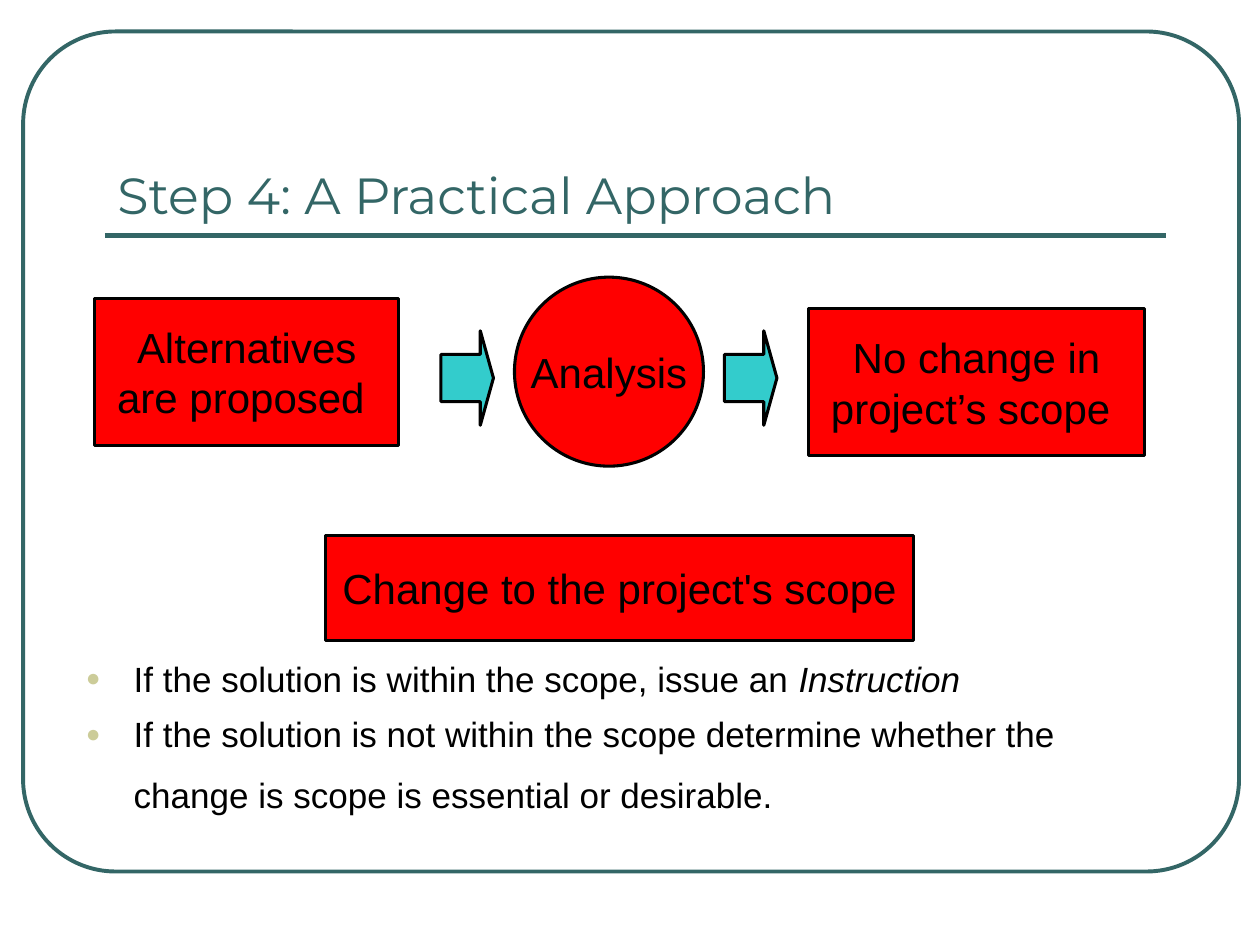
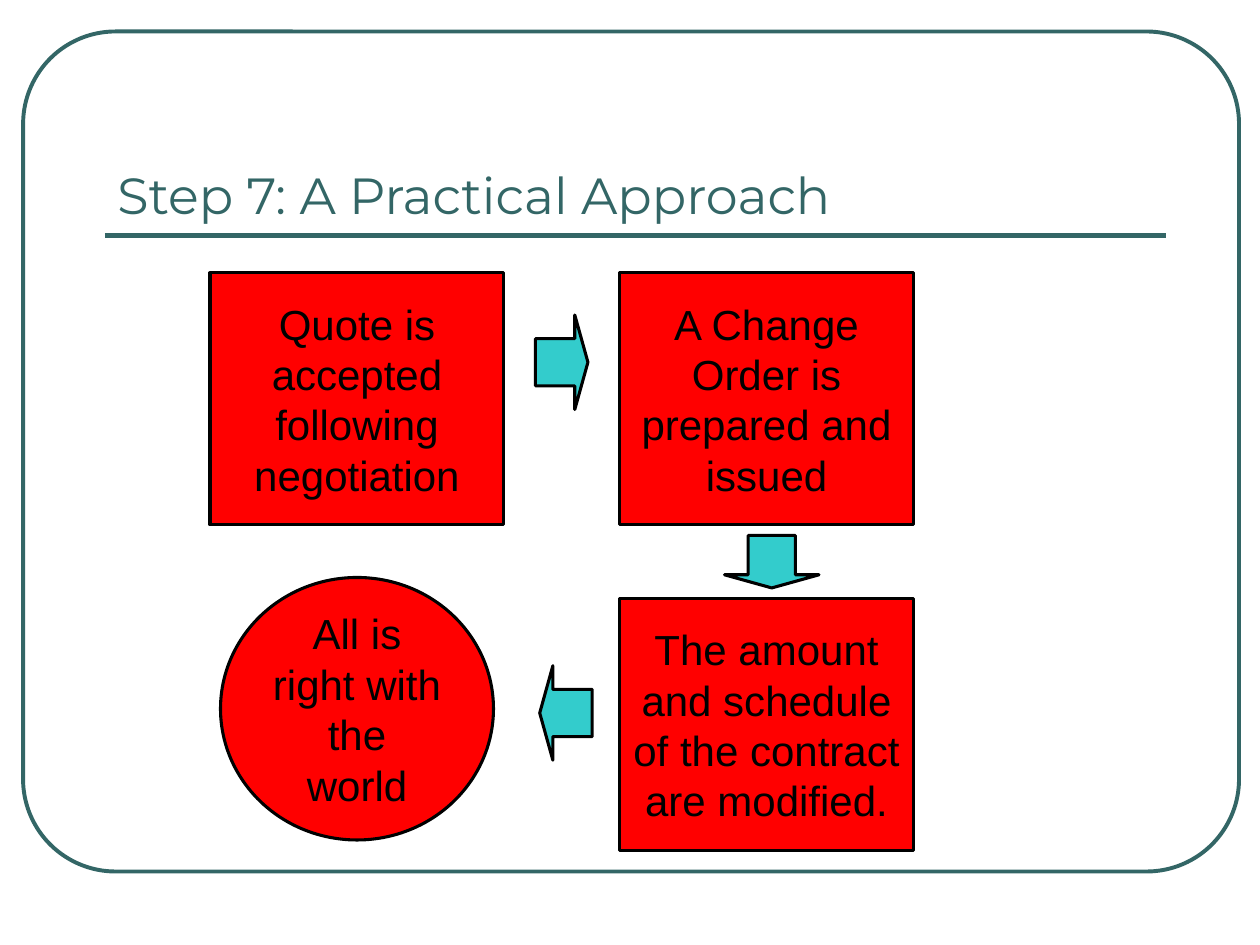
from dataclasses import dataclass
from typing import Any

from lxml import etree
from pptx import Presentation
from pptx import util as u
from pptx.dml.color import RGBColor
from pptx.enum import shapes, text
from pptx.oxml.ns import qn

WIDTH, HEIGHT = u.Inches(10), u.Inches(7.5)
COLUMNS, ROWS = 120, 90
RECT = shapes.MSO_SHAPE.RECTANGLE
CIRCLE = shapes.MSO_SHAPE.OVAL


@dataclass(frozen=True)
class Theme:
    frame: str = "336666"
    step: str = "FF0000"
    arrow: str = "33CCCC"
    ink: str = "000000"
    bullet: str = "CCCC99"
    title_font: str = "Montserrat"
    body_font: str = "Arial"
    title_size: float = 29
    step_size: float = 24
    body_size: float = 20
    spacer_size: float = 31
    bullet_percent: int = 70
    frame_line: float = 2.25
    rule_line: float = 3
    outline: float = 1.75


THEME = Theme()


@dataclass(frozen=True)
class Area:
    """A place on the slide's grid of columns and rows."""
    column: float
    row: float
    columns: float
    rows: float

    def lengths(self) -> tuple[int, int, int, int]:
        return (across(self.column), down(self.row),
                across(self.columns), down(self.rows))


@dataclass(frozen=True)
class Step:
    wording: str
    area: Area
    outline: Any = RECT
    wrap: bool = True


@dataclass(frozen=True)
class Arrow:
    column: float
    row: float
    turn: int = 0


@dataclass(frozen=True)
class Phrase:
    wording: str
    italic: bool = False
    size: float = THEME.body_size


@dataclass(frozen=True)
class Page:
    title: str
    steps: tuple[Step, ...]
    arrows: tuple[Arrow, ...]
    advice: tuple[tuple[Phrase, ...], ...] = ()


FRAME = Area(2.2, 3, 115.8, 80)
TITLE = Area(10, 7, 101, 15)
RULE_ROW = 22.4
ADVICE = Area(7, 62, 103, 18.6)
ARROW_COLUMNS, ARROW_ROWS = 5, 9
LEFT, RIGHT, UPPER, LOWER = 20, 59, 26, 57


def stage(column: float, row: float) -> Area:
    return Area(column, row, 28, 24)


PAGES = (
    Page(
        "Step 4: A Practical Approach",
        (
            Step("Analysis", Area(49, 26.4, 18, 18), CIRCLE, wrap=False),
            Step("Alternatives are proposed ", Area(9, 28.4, 29, 14)),
            Step("No change in project’s scope ", Area(77, 29.4, 32, 14)),
            Step("Change to the project's scope", Area(31, 51, 56, 10)),
        ),
        (Arrow(42, 31.5), Arrow(69, 31.5)),
        (
            (Phrase("If the solution is within the scope, issue an "),
             Phrase("Instruction", italic=True)),
            (Phrase("If the solution is not within the scope determine whether "
                    "the change is scope is essential or desirable."),
             Phrase(" ", size=THEME.spacer_size)),
        ),
    ),
    Page(
        "Step 7: A Practical Approach",
        (
            Step("Quote is accepted following negotiation", stage(LEFT, UPPER)),
            Step("A Change Order is prepared and issued", stage(RIGHT, UPPER)),
            Step("The amount and schedule of the contract are modified.",
                 stage(RIGHT, LOWER)),
            Step("All is right with the world", Area(21, 55, 26, 25), CIRCLE),
        ),
        (Arrow(51, 30), Arrow(71, 49, 90), Arrow(51.4, 63.4, 180)),
    ),
)


def across(columns: float) -> int:
    return round(WIDTH * columns / COLUMNS)


def down(rows: float) -> int:
    return round(HEIGHT * rows / ROWS)


def rgb(code: str) -> RGBColor:
    return RGBColor.from_string(code)


def add_run(paragraph: Any, wording: str, size: float,
            font: str = THEME.body_font, color: str = THEME.ink,
            italic: bool = False) -> None:
    run = paragraph.add_run()
    run.text = wording
    run.font.size = u.Pt(size)
    run.font.name = font
    run.font.color.rgb = rgb(color)
    run.font.italic = italic


def add_bullet(paragraph: Any) -> None:
    properties = paragraph._p.get_or_add_pPr()
    properties.set("marL", str(u.Inches(0.38)))
    properties.set("indent", str(-u.Inches(0.38)))
    color = etree.SubElement(properties, qn("a:buClr"))
    etree.SubElement(color, qn("a:srgbClr"), val=THEME.bullet)
    etree.SubElement(properties, qn("a:buSzPct"),
                     val=str(THEME.bullet_percent * 1000))
    etree.SubElement(properties, qn("a:buFont"), typeface=THEME.body_font)
    etree.SubElement(properties, qn("a:buChar"), char="●")


def draw_outline(slide: Any, kind: Any, area: Area, fill: str | None,
                 line: str = THEME.ink, width: float = THEME.outline) -> Any:
    shape = slide.shapes.add_shape(kind, *area.lengths())
    shape.shadow.inherit = False
    if fill:
        shape.fill.solid()
        shape.fill.fore_color.rgb = rgb(fill)
    else:
        shape.fill.background()
    shape.line.color.rgb = rgb(line)
    shape.line.width = u.Pt(width)
    return shape


def draw_frame(slide: Any) -> None:
    """Draw the rounded border and the rule under the title."""
    border = draw_outline(slide, shapes.MSO_SHAPE.ROUNDED_RECTANGLE, FRAME,
                          None, THEME.frame, THEME.frame_line)
    border.adjustments[0] = 0.11
    rule = slide.shapes.add_connector(
        shapes.MSO_CONNECTOR.STRAIGHT, across(TITLE.column), down(RULE_ROW),
        across(TITLE.column + TITLE.columns), down(RULE_ROW))
    rule.line.color.rgb = rgb(THEME.frame)
    rule.line.width = u.Pt(THEME.rule_line)
    etree.SubElement(rule._element.spPr, qn("a:effectLst"))


def add_text_frame(slide: Any, area: Area) -> Any:
    frame = slide.shapes.add_textbox(*area.lengths()).text_frame
    frame.word_wrap = True
    return frame


def draw_title(slide: Any, wording: str) -> None:
    frame = add_text_frame(slide, TITLE)
    frame.vertical_anchor = text.MSO_ANCHOR.BOTTOM
    add_run(frame.paragraphs[0], wording, THEME.title_size,
            THEME.title_font, THEME.frame)


def draw_step(slide: Any, step: Step) -> None:
    frame = draw_outline(slide, step.outline, step.area, THEME.step).text_frame
    frame.word_wrap = step.wrap
    frame.vertical_anchor = text.MSO_ANCHOR.MIDDLE
    paragraph = frame.paragraphs[0]
    paragraph.alignment = text.PP_ALIGN.CENTER
    add_run(paragraph, step.wording, THEME.step_size)


def draw_arrow(slide: Any, arrow: Arrow) -> None:
    area = Area(arrow.column, arrow.row, ARROW_COLUMNS, ARROW_ROWS)
    shape = draw_outline(slide, shapes.MSO_SHAPE.RIGHT_ARROW, area, THEME.arrow)
    shape.adjustments[0] = 0.5
    shape.adjustments[1] = 0.25
    shape.rotation = arrow.turn


def draw_advice(slide: Any, points: tuple[tuple[Phrase, ...], ...]) -> None:
    frame = add_text_frame(slide, ADVICE)
    for index, phrases in enumerate(points):
        paragraph = frame.add_paragraph() if index else frame.paragraphs[0]
        if index:
            paragraph.space_before = u.Pt(7.7)
        add_bullet(paragraph)
        for phrase in phrases:
            add_run(paragraph, phrase.wording, phrase.size,
                    italic=phrase.italic)


def draw_page(deck: Any, page: Page) -> None:
    slide = deck.slides.add_slide(deck.slide_layouts[6])
    draw_frame(slide)
    draw_title(slide, page.title)
    if page.advice:
        draw_advice(slide, page.advice)
    for arrow in page.arrows:
        draw_arrow(slide, arrow)
    for step in page.steps:
        draw_step(slide, step)


def main() -> None:
    deck = Presentation()
    deck.slide_width, deck.slide_height = WIDTH, HEIGHT
    for page in PAGES:
        draw_page(deck, page)
    deck.save("out.pptx")


if __name__ == "__main__":
    main()
